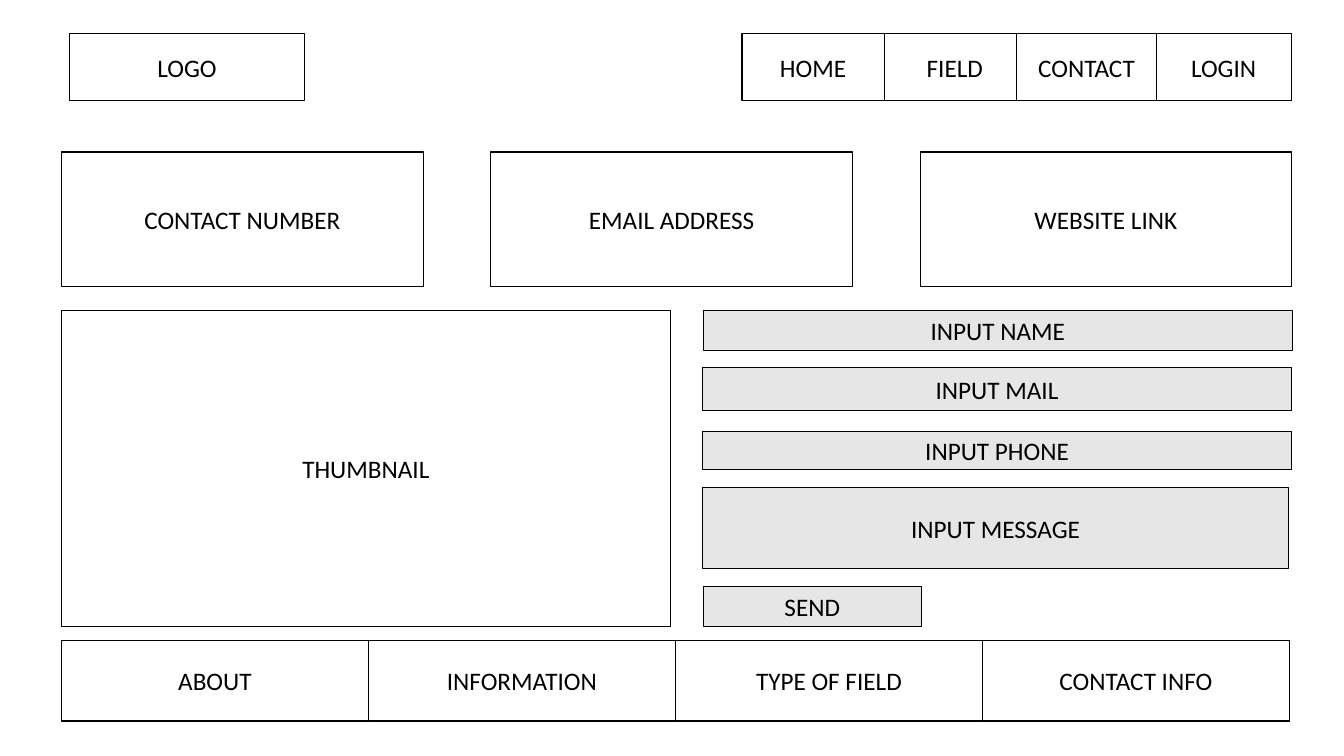
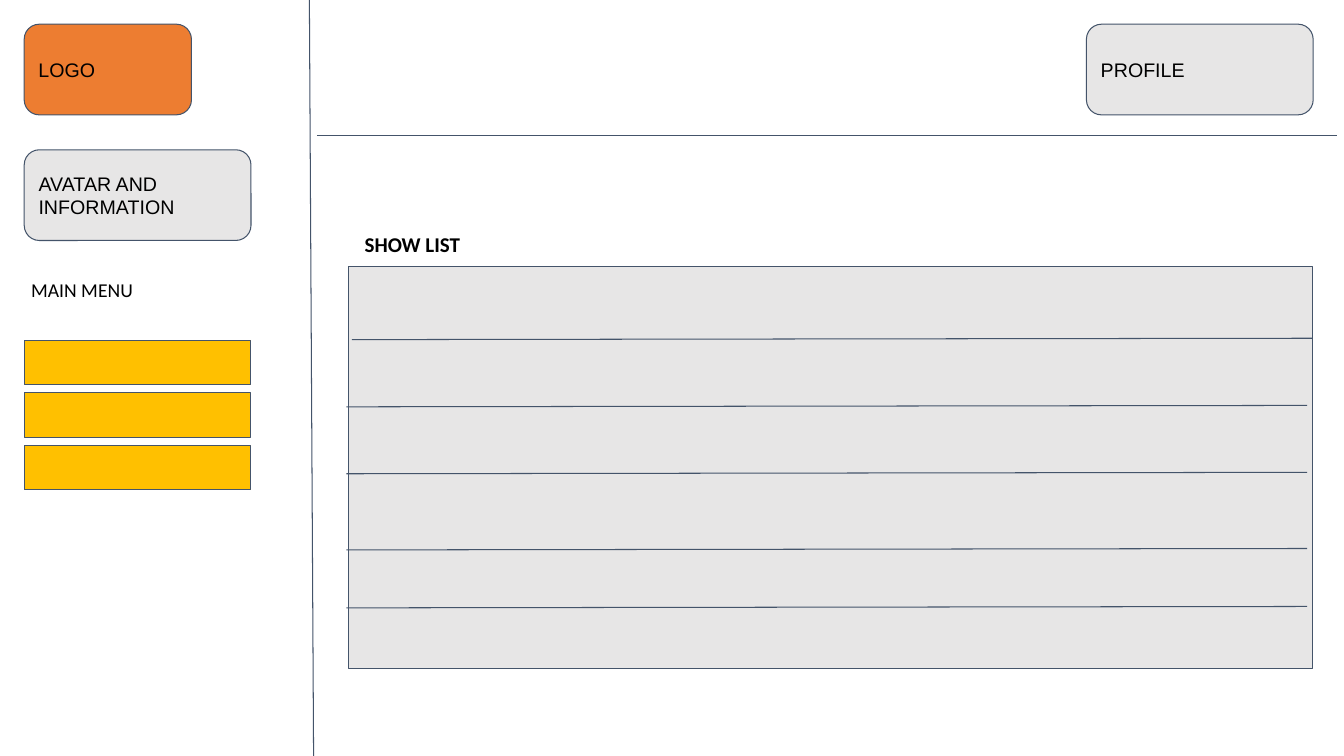
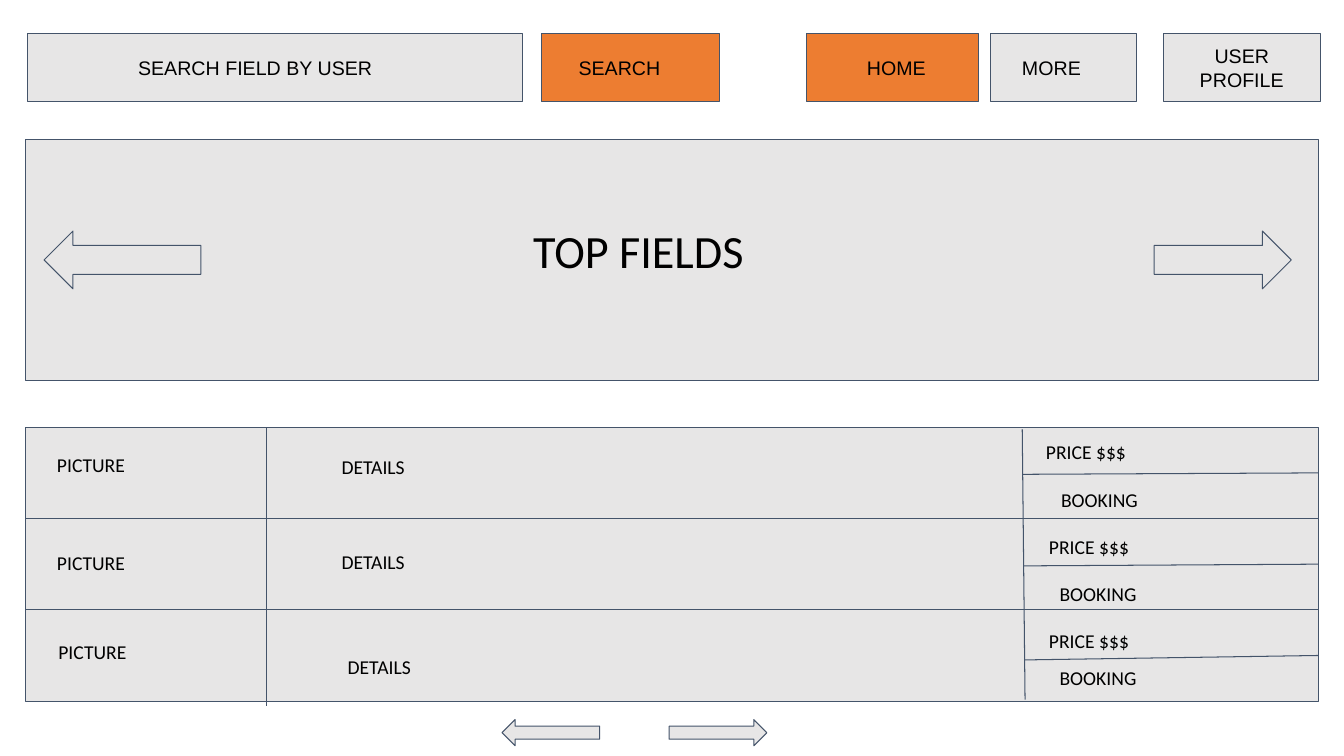
"""Build three website wireframe slides: contact page, list page and search page."""
import lxml.etree
import pptx
import pptx.dml.color
import pptx.enum.shapes
import pptx.enum.text
import pptx.oxml.ns
import pptx.util

BLACK = pptx.dml.color.RGBColor(0x00, 0x00, 0x00)
WHITE = pptx.dml.color.RGBColor(0xFF, 0xFF, 0xFF)
GRAY = pptx.dml.color.RGBColor(0xE7, 0xE6, 0xE6)
SLATE = pptx.dml.color.RGBColor(0x44, 0x54, 0x6A)
ORANGE = pptx.dml.color.RGBColor(0xED, 0x7D, 0x31)
AMBER = pptx.dml.color.RGBColor(0xFF, 0xC0, 0x00)

KIND = pptx.enum.shapes.MSO_SHAPE
LEFT = pptx.enum.text.PP_ALIGN.LEFT
CENTER = pptx.enum.text.PP_ALIGN.CENTER
INSET = 7.2

PAGE_FONT = {"name": "Calibri", "size": pptx.util.Pt(18)}
BUTTON_FONT = {"name": "Arial", "size": pptx.util.Pt(14)}
LABEL_FONT = {"name": "Calibri", "size": pptx.util.Pt(14)}
LIST_FONT = {"name": "Calibri", "size": pptx.util.Pt(15), "bold": True}
BANNER_FONT = {"name": "Calibri", "size": pptx.util.Pt(33)}

SHAPE_FRAME = {
    "margin_top": pptx.util.Pt(INSET / 2),
    "margin_bottom": pptx.util.Pt(INSET / 2),
    "vertical_anchor": pptx.enum.text.MSO_ANCHOR.MIDDLE,
}
LABEL_FRAME = {
    "margin_top": pptx.util.Pt(INSET),
    "margin_bottom": pptx.util.Pt(INSET),
    "vertical_anchor": pptx.enum.text.MSO_ANCHOR.TOP,
    "auto_size": pptx.enum.text.MSO_AUTO_SIZE.SHAPE_TO_FIT_TEXT,
}


def add_box(slide, kind, place, fill=GRAY, outline=SLATE, text="", font=LABEL_FONT, align=LEFT, indent=0):
    """Add a filled shape, or a plain text box when kind is None."""
    lengths = [pptx.util.Pt(length) for length in place]
    if kind is None:
        shape = slide.shapes.add_textbox(*lengths)
    else:
        shape = slide.shapes.add_shape(kind, *lengths)
        shape.shadow.inherit = False
        shape.fill.solid()
        shape.fill.fore_color.rgb = fill
        shape.line.color.rgb = outline
        shape.line.width = pptx.util.Pt(0.75)
    if not text:
        return
    frame = shape.text_frame
    frame.word_wrap = True
    frame.margin_left = pptx.util.Pt(INSET + indent)
    frame.margin_right = pptx.util.Pt(INSET)
    for name, value in (LABEL_FRAME if kind is None else SHAPE_FRAME).items():
        setattr(frame, name, value)
    frame.text = text
    for paragraph in frame.paragraphs:
        paragraph.alignment = align
        paragraph.font.color.rgb = BLACK
        for name, value in font.items():
            setattr(paragraph.font, name, value)


def add_line(slide, *ends):
    """Add a thin straight line between two points."""
    straight = pptx.enum.shapes.MSO_CONNECTOR.STRAIGHT
    line = slide.shapes.add_connector(straight, *[pptx.util.Pt(end) for end in ends])
    line.line.color.rgb = SLATE
    line.line.width = pptx.util.Pt(0.75)
    lxml.etree.SubElement(line._element.spPr, pptx.oxml.ns.qn("a:effectLst"))


presentation = pptx.Presentation()
presentation.slide_width = pptx.util.Pt(960)
presentation.slide_height = pptx.util.Pt(540)
contact_page, list_page, search_page = [
    presentation.slides.add_slide(presentation.slide_layouts[6]) for _ in range(3)
]

contact_boxes = [
    ("LOGO", (49.7, 23.8, 167.8, 48.2), WHITE),
    ("HOME", (530, 23.8, 101.5, 48.2), WHITE),
    ("FIELD", (632, 23.8, 100, 48.2), WHITE),
    ("LOGIN", (826, 23.8, 96.2, 48.2), WHITE),
    ("CONTACT", (726.4, 23.8, 99.4, 48.2), WHITE),
    ("CONTACT NUMBER", (43.9, 108.6, 258.5, 96.2), WHITE),
    ("EMAIL ADDRESS", (350.5, 108.6, 258.5, 96.2), WHITE),
    ("WEBSITE LINK", (657.4, 108.6, 265, 96.2), WHITE),
    ("THUMBNAIL", (43.9, 221.8, 434.9, 225.4), WHITE),
    ("INPUT NAME", (502.5, 221.8, 420.5, 28.4), GRAY),
    ("INPUT MAIL", (502, 262.8, 420.5, 30.4), GRAY),
    ("INPUT PHONE", (502, 308.2, 420.5, 27.4), GRAY),
    ("INPUT MESSAGE", (502, 348.5, 418.3, 57.6), GRAY),
    ("SEND", (502.5, 419, 155.5, 28.2), GRAY),
]
for column, text in enumerate(["ABOUT", "INFORMATION", "TYPE OF FIELD", "CONTACT INFO"]):
    contact_boxes.append((text, (43.9 + 219.3 * column, 457.2, 219.3, 57.8), WHITE))
for text, place, fill in contact_boxes:
    add_box(contact_page, KIND.FLOWCHART_PROCESS, place, fill, BLACK, text, PAGE_FONT, CENTER)

for text, left, top, width, fill in [
    ("LOGO", 17.3, 17.3, 119.5, ORANGE),
    ("AVATAR AND INFORMATION", 17.3, 107, 162, GRAY),
    ("PROFILE", 776, 17.3, 162, GRAY),
]:
    add_box(list_page, KIND.ROUNDED_RECTANGLE, (left, top, width, 64.8), fill, text=text, font=BUTTON_FONT)
for row in range(3):
    add_box(list_page, KIND.RECTANGLE, (17.3, 243 + 37.6 * row, 162, 31.7), AMBER)
add_box(list_page, KIND.RECTANGLE, (248.9, 190.5, 689, 286.8))
add_line(list_page, 221, 0, 224, 540)
add_line(list_page, 226.3, 97, 955, 97)
for left, top in [(251.3, 242.6), (247.5, 290.6), (247.5, 338.4), (247.5, 392.8), (247.5, 434.2)]:
    add_line(list_page, left, top, left + 686.2, top - 1)
add_box(list_page, None, (15.1, 191.5, 162, 31.7), text="MAIN MENU")
add_box(list_page, None, (253.4, 158.4, 228, 32.4), text="SHOW LIST", font=LIST_FONT)

for text, left, width, fill, align, indent in [
    ("SEARCH FIELD BY USER", 19.4, 354.2, GRAY, LEFT, 72),
    ("SEARCH", 386.6, 127.4, ORANGE, LEFT, 19.5),
    ("HOME", 576, 123, ORANGE, LEFT, 36),
    ("MORE", 707.2, 104.4, GRAY, LEFT, 15.6),
    ("USER\nPROFILE", 831, 112, GRAY, CENTER, 0),
]:
    place = (left, 23.9, width, 48.6)
    add_box(search_page, KIND.RECTANGLE, place, fill, SLATE, text, BUTTON_FONT, align, indent)
add_box(search_page, KIND.RECTANGLE, (18, 99.8, 923.8, 171.7))
for kind, place in [
    (KIND.LEFT_ARROW, (31.5, 165, 112, 41.3)),
    (KIND.RIGHT_ARROW, (824.4, 165, 98, 41.3)),
    (KIND.LEFT_ARROW, (358.6, 514, 69.8, 18.7)),
    (KIND.RIGHT_ARROW, (478, 514, 69.8, 18.7)),
]:
    add_box(search_page, kind, place)
add_box(search_page, None, (373.7, 151.9, 366.5, 54.7), text="TOP FIELDS", font=BANNER_FONT)
for row in range(3):
    add_box(search_page, KIND.RECTANGLE, (18, 305.3 + 65.2 * row, 923.8, 65.2))
for ends in [
    (190.2, 305.3, 190.2, 504),
    (730.2, 306.7, 732.2, 499.7),
    (730.2, 338.8, 941.8, 337.8),
    (731.2, 404.2, 941.8, 403),
    (732, 471.4, 941.8, 468.2),
]:
    add_line(search_page, *ends)
for text, width, corners in [
    ("PICTURE", 120, [(33.6, 316.1), (33.6, 386.6), (34.6, 450)]),
    ("DETAILS", 200, [(236.9, 317.5), (236.9, 385.9), (241.2, 460.8)]),
    ("PRICE $$$", 150, [(740, 307.4), (742.2, 375.1), (742.2, 442)]),
    ("BOOKING", 150, [(750.8, 341.3), (749.8, 408.2), (749.8, 468.2)]),
]:
    for left, top in corners:
        add_box(search_page, None, (left, top, width, 31.7), text=text)

presentation.save("out.pptx")
